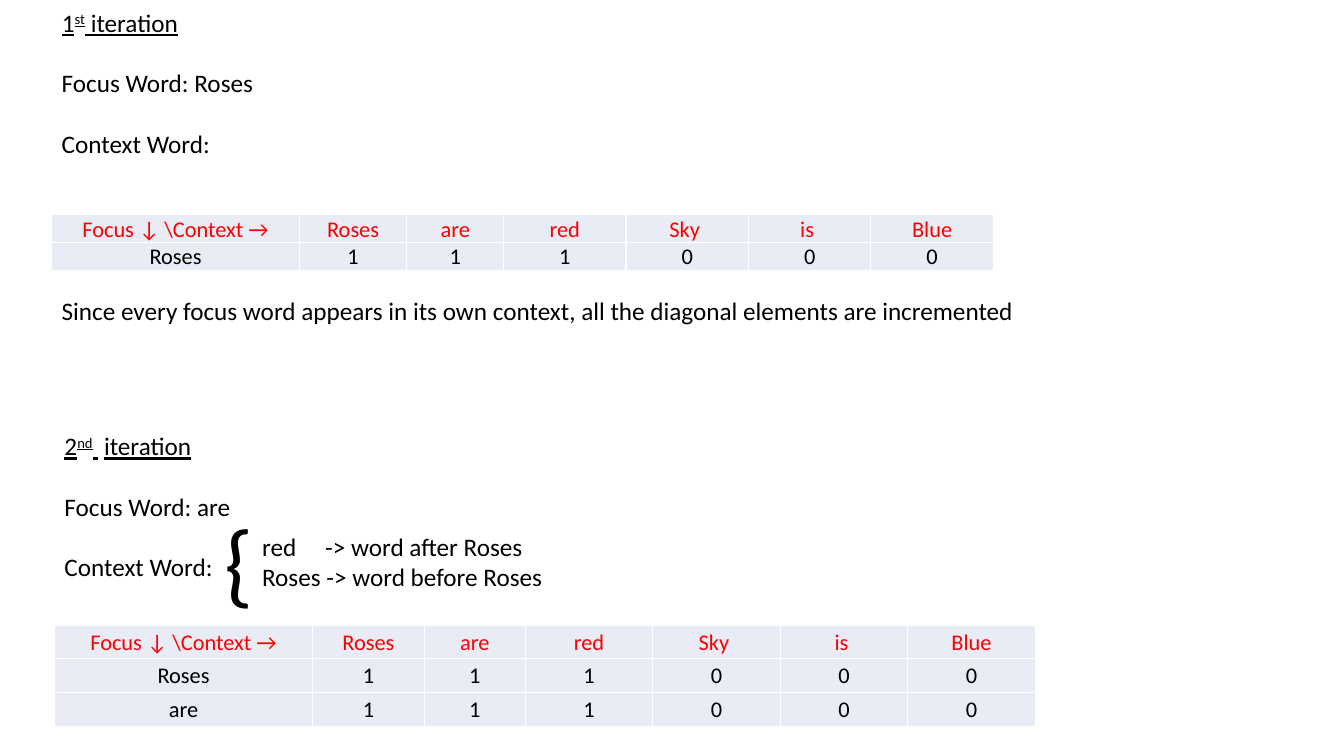
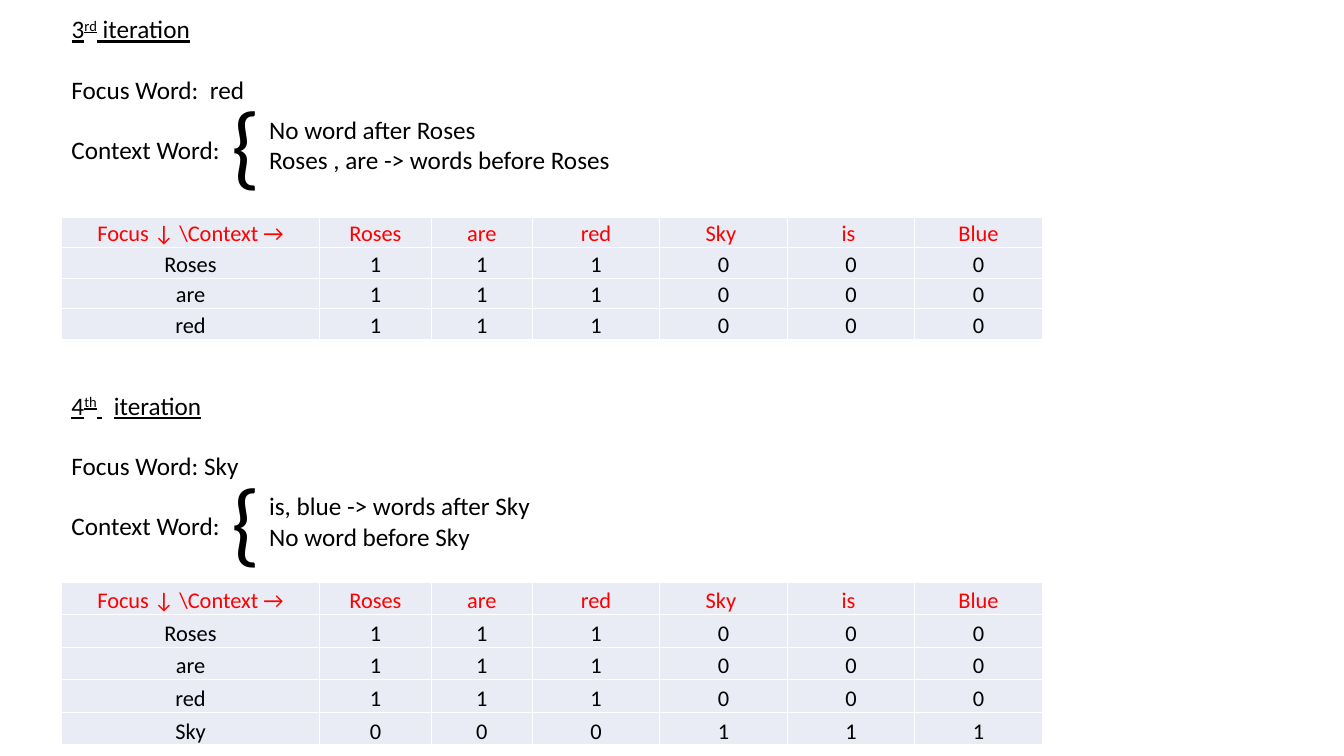
"""Builds two slides that fill a word co-occurrence matrix step by step."""
from lxml import etree
from pptx import Presentation
from pptx.dml.color import RGBColor
from pptx.enum.text import MSO_ANCHOR, MSO_AUTO_SIZE, PP_ALIGN
from pptx.oxml.ns import qn
from pptx.util import Pt

TOP, MIDDLE, BOTTOM = MSO_ANCHOR.TOP, MSO_ANCHOR.MIDDLE, MSO_ANCHOR.BOTTOM
LEFT, CENTER = PP_ALIGN.LEFT, PP_ALIGN.CENTER
NO_FIT = MSO_AUTO_SIZE.NONE

FONT, BLACK, RED, WHITE, PALE = "Calibri", "000000", "FF0000", "FFFFFF", "E9EBF5"
TITLE_ONLY = 5
COLUMNS = (184.2, 80, 72) + (91.1,) * 4
HEADER = ("Focus ↓ \\Context →", "Roses", "are", "red", "Sky ", "is ", "Blue")
ROSES_ROW, SKY_ROW = "111000", "000111"
MATRIX = (("Roses", ROSES_ROW), ("are", ROSES_ROW), ("red", ROSES_ROW), ("Sky", SKY_ROW))
ORDINALS = ("st", "nd", "rd", "th")
WORD_GAP = 4.07


def color(value):
    """Turn a hex string into a colour."""
    return RGBColor.from_string(value)


def add_run(p, text, size=18, fill=BLACK, underline=False, raised=0, spacing=0):
    """Add a formatted run to a paragraph."""
    r = p.add_run()
    r.text = text
    r.font.name = FONT
    r.font.size = Pt(size)
    r.font.color.rgb = color(fill)
    r.font.underline = underline
    rPr = r._r.get_or_add_rPr()
    if raised:
        rPr.set("baseline", str(raised * 1000))
    if spacing:
        rPr.set("spc", str(round(spacing * 100)))


def add_tab(p, position):
    """Set a left tab stop on a paragraph."""
    tabs = etree.SubElement(p._p.get_or_add_pPr(), qn("a:tabLst"))
    etree.SubElement(tabs, qn("a:tab"), pos=str(Pt(position)), algn="l")


def add_borders(cell):
    """Draw thin white lines around a cell."""
    tcPr = cell._tc.get_or_add_tcPr()
    for side in ("lnL", "lnR", "lnT", "lnB"):
        line = etree.SubElement(tcPr, qn(f"a:{side}"), w=str(Pt(1)))
        fill = etree.SubElement(line, qn("a:solidFill"))
        etree.SubElement(fill, qn("a:srgbClr"), val=WHITE)


class Deck:
    """Hold the presentation, its style and the current slide."""

    def __init__(self):
        """Start a wide presentation."""
        self.prs = Presentation()
        self.prs.slide_width, self.prs.slide_height = Pt(960), Pt(540)
        self.s = None

    def slide(self):
        """Start a new slide."""
        self.s = self.prs.slides.add_slide(self.prs.slide_layouts[TITLE_ONLY])

    def text(self, left, top, width, height, lines, gap=0, wrap=True, tab=0, **fmt):
        """Add a text box with one paragraph per line."""
        sp = self.s.shapes.add_textbox(Pt(left), Pt(top), Pt(width), Pt(height))
        tf = sp.text_frame
        tf.word_wrap = wrap
        for i, line in enumerate(lines):
            p = tf.add_paragraph() if i else tf.paragraphs[0]
            if i and gap:
                p.space_before = Pt(gap)
            if tab:
                add_tab(p, tab)
            add_run(p, line, **fmt)
        return tf

    def heading(self, number, left, top, spaces, is_title):
        """Write the underlined heading, in the title when it leads the slide."""
        if is_title:
            sp = self.s.shapes.title
            sp.left, sp.top, sp.width, sp.height = Pt(left), Pt(top), Pt(319), Pt(29)
        else:
            sp = self.s.shapes.add_textbox(Pt(left), Pt(top), Pt(319), Pt(29))
        tf = sp.text_frame
        tf.word_wrap, tf.auto_size, tf.vertical_anchor = True, NO_FIT, TOP
        p = tf.paragraphs[0]
        p.alignment = LEFT
        add_run(p, str(number), underline=True)
        add_run(p, ORDINALS[number - 1], underline=True, raised=30)
        add_run(p, " ", underline=True, spacing=(spaces - 1) * WORD_GAP)
        add_run(p, "iteration", underline=True)

    def matrix(self, left, top, count, row_height, anchor, scale=1):
        """Add the table with the first rows of the matrix."""
        rows = [HEADER] + [(word, *values) for word, values in MATRIX[:count]]
        frame = self.s.shapes.add_table(
            len(rows), len(COLUMNS), Pt(left), Pt(top),
            Pt(sum(COLUMNS) * scale), Pt(row_height * len(rows)))
        table = frame.table
        table.first_row = table.horz_banding = False
        for column, width in zip(table.columns, COLUMNS):
            column.width = Pt(width * scale)
        for i, values in enumerate(rows):
            table.rows[i].height = Pt(row_height)
            for j, value in enumerate(values):
                self.cell(table.cell(i, j), value, anchor, BLACK if i else RED)

    def cell(self, cell, value, anchor, fill):
        """Fill and format one table cell."""
        cell.margin_left = cell.margin_right = cell.margin_top = Pt(0.7)
        cell.margin_bottom = 0
        cell.vertical_anchor = anchor
        add_borders(cell)
        cell.fill.solid()
        cell.fill.fore_color.rgb = color(PALE)
        p = cell.text_frame.paragraphs[0]
        p.alignment = CENTER
        add_run(p, value, size=16, fill=fill)

    def iteration(self, number, left, top, table_top, row_height, context=(),
                  spaces=1, focus_gap=0, tab=0, anchor=BOTTOM, scale=1, is_title=False):
        """Add heading, focus word, context words and matrix of one step."""
        self.heading(number, left, top, spaces, is_title)
        tf = self.text(left, top + 43.2, 319, 73, ["Focus Word:", "Context Word:"], gap=21.5)
        add_run(tf.paragraphs[0], " ", spacing=focus_gap)
        add_run(tf.paragraphs[0], MATRIX[number - 1][0])
        if context:
            self.text(left + 114.5, top + 52.3, 480, 87, ["{"], size=66)
            self.text(left + 141.1, top + 72, 480, 51, context, tab=tab)
        self.matrix(left, table_top, number, row_height, anchor, scale)


deck = Deck()
deck.slide()
deck.iteration(1, 37, 1.5, 153.4, 19.5, scale=0.96, is_title=True)
deck.text(37, 207.4, 703, 29, [
    "Since every focus word appears in its own context, "
    "all the diagonal elements are incremented"], wrap=False)
deck.iteration(2, 39, 304, 446.4, 24.2, spaces=2, tab=45, anchor=MIDDLE,
               context=("red\t-> word after Roses", "Roses -> word before Roses"))

deck.slide()
deck.iteration(3, 44, 6, 155.2, 21.8, focus_gap=WORD_GAP, is_title=True,
               context=("No word after Roses", "Roses , are -> words before Roses"))
deck.iteration(4, 44, 275, 415.8, 23.3, spaces=3,
               context=("is, blue -> words after Sky", "No word before Sky"))
deck.prs.save("out.pptx")
